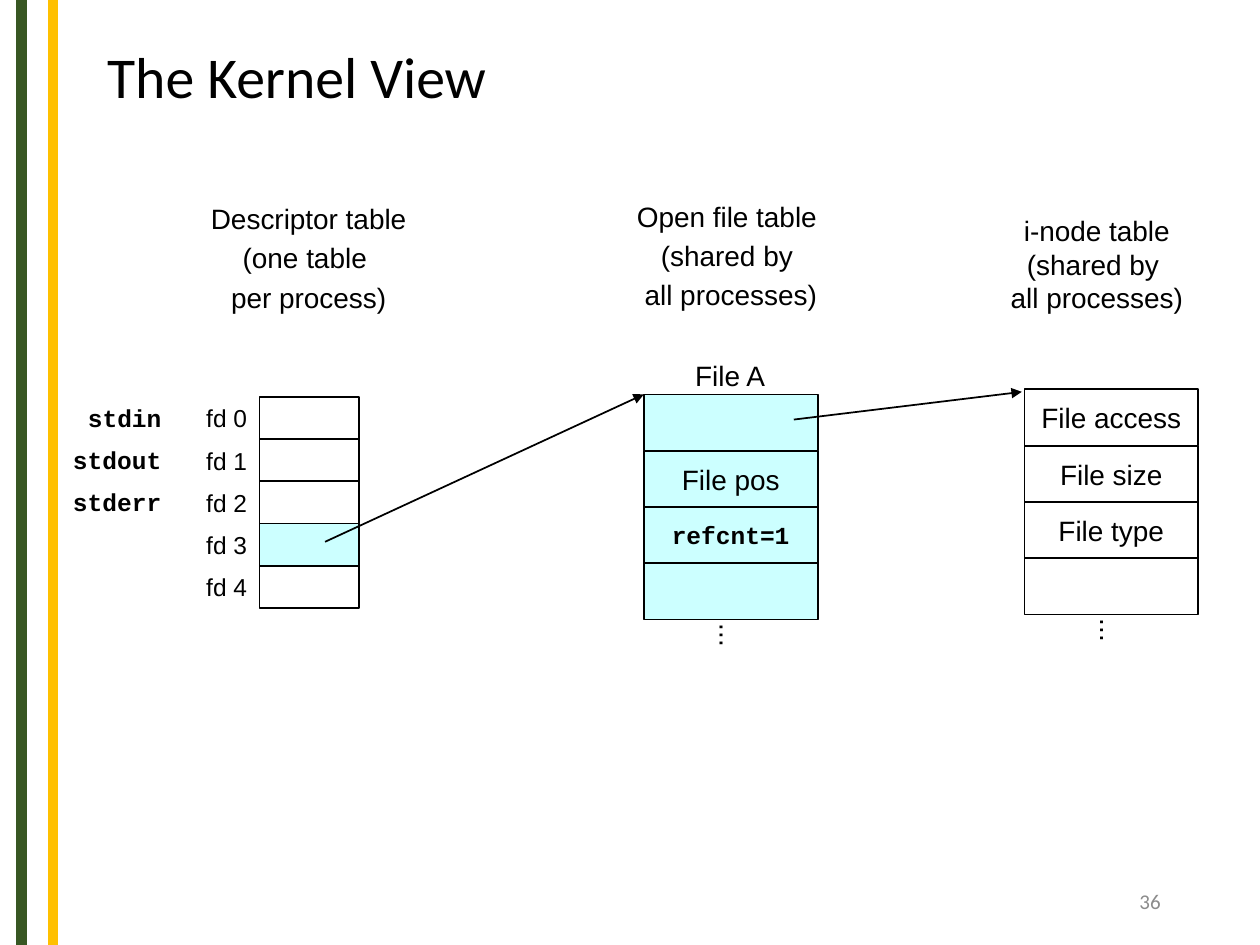
"""Build the slide on the kernel's view of open files."""
from pptx import Presentation
from pptx.dml.color import RGBColor
from pptx.enum.shapes import MSO_CONNECTOR, MSO_SHAPE
from pptx.enum.text import MSO_ANCHOR, PP_ALIGN as ALIGN
from pptx.util import Inches, Pt
from lxml.etree import SubElement
from pptx.oxml.ns import qn

COLORS = {"text": "000000", "shared": "CCFFFF", "green": "385723",
          "gold": "FFC000", "number": "8C8C8C"}
SANS, MONO = "Arial", "Courier New"


def write(box, text, size=16, font=SANS, align=ALIGN.CENTER, gaps=(3.2,) * 3):
    """Write hanging, unwrapped lines in the middle of a box."""
    frame = box.text_frame
    frame.text = text
    frame.word_wrap = False
    frame.vertical_anchor = MSO_ANCHOR.MIDDLE
    for para, gap in zip(frame.paragraphs, gaps):
        para.alignment = align
        para.space_before = Pt(gap)
        para.font.size, para.font.name = Pt(size), font
        para.font.bold = font == MONO
        para.font.color.rgb = RGBColor.from_string(COLORS["text"])
        properties = para._p.get_or_add_pPr()
        properties.set("marL", str(Inches(0.38)))
        properties.set("indent", str(-Inches(0.38)))


def draw_line(start, end, color="text", width=1, arrow=False):
    """Draw a straight line, with an arrowhead at its end if wanted."""
    line = page.shapes.add_connector(
        MSO_CONNECTOR.STRAIGHT, *map(Inches, start + end))
    line.line.color.rgb = RGBColor.from_string(COLORS[color])
    line.line.width = Pt(width)
    if arrow:
        SubElement(line.line._get_or_add_ln(), qn("a:tailEnd"), type="triangle")
    SubElement(line._element.spPr, qn("a:effectLst"))


deck = Presentation()
deck.slide_width, deck.slide_height = Inches(10), Inches(7.5)
page = deck.slides.add_slide(deck.slide_layouts[5])

for x, color in ((0.17, "green"), (0.42, "gold")):
    draw_line((x, 0), (x, 7.5), color, 6)

title = page.shapes.title
title.left, title.top, title.width, title.height = map(Inches, (0.75, 0.26, 8.97, 0.75))
title.text_frame.text = "The Kernel View"
title.text_frame.vertical_anchor = MSO_ANCHOR.MIDDLE
para = title.text_frame.paragraphs[0]
para.alignment = ALIGN.LEFT
para.line_spacing = 0.9
para.font.size, para.font.name = Pt(33), "Calibri"
para.font.color.rgb = RGBColor.from_string(COLORS["text"])

headings = [
    (1.57, 1.48, 1.76, 1.13, "Descriptor table\n(one table \nper process)", (3.2, 3.2, 3.2)),
    (4.95, 1.46, 1.70, 1.13, "Open file table \n(shared by \nall processes)", (3.2, 3.2, 3.2)),
    (7.92, 1.59, 1.57, 1.01, "i-node table\n(shared by \nall processes)", (3.2, 0, 0)),
    (5.41, 2.77, 0.77, 0.41, "File A", (3.2,)),
]
for *place, text, gaps in headings:
    write(page.shapes.add_textbox(*map(Inches, place)), text, gaps=gaps)

fd_top, fd_row, fd_width = 3.15, 0.335, 0.79
for row in range(5):
    place = (1.27, fd_top + row * fd_row, fd_width, fd_row)
    write(page.shapes.add_textbox(*map(Inches, place)), f"fd {row}", 14, align=ALIGN.RIGHT)

stream_right = 1.39
for row, (name, width) in enumerate([("stdin", 0.8), ("stdout", 0.92), ("stderr", 0.92)]):
    place = (stream_right - width, 3.13 + row * fd_row, width, 0.37)
    write(page.shapes.add_textbox(*map(Inches, place)), name, 14, MONO)

tables = [
    (2.06, fd_top, fd_width, fd_row, ["", "", "", "", ""], {3}),
    (5.11, 3.13, 1.38, 0.447, ["", "File pos", "refcnt=1", "..."], {0, 1, 2, 3}),
    (8.13, 3.09, 1.38, 0.447, ["File access", "File size", "File type", "..."], set()),
]
for left, top, width, height, rows, shaded in tables:
    for row, text in enumerate(rows):
        place = (left, top + row * height, width, height)
        cell = page.shapes.add_shape(MSO_SHAPE.RECTANGLE, *map(Inches, place))
        cell.shadow.inherit = False
        cell.line.color.rgb = RGBColor.from_string(COLORS["text"])
        cell.line.width = Pt(1)
        if row in shaded:
            cell.fill.solid()
            cell.fill.fore_color.rgb = RGBColor.from_string(COLORS["shared"])
        else:
            cell.fill.background()
        if text:
            mono = text.startswith("refcnt")
            write(cell, text, 14 if mono else 16, MONO if mono else SANS)
        if text == "...":
            cell.text_frame._txBody.bodyPr.set("vert", "eaVert")

draw_line((2.58, 4.3), (5.11, 3.13), arrow=True)
draw_line((6.3, 3.33), (8.11, 3.11), arrow=True)

number = page.shapes.add_textbox(*map(Inches, (7.06, 6.95, 2.25, 0.4)))
number.text_frame.text = "36"
number.text_frame.word_wrap = True
number.text_frame.vertical_anchor = MSO_ANCHOR.MIDDLE
para = number.text_frame.paragraphs[0]
para.alignment = ALIGN.RIGHT
para.font.size, para.font.name = Pt(12), "Calibri"
para.font.color.rgb = RGBColor.from_string(COLORS["number"])

deck.save("out.pptx")
